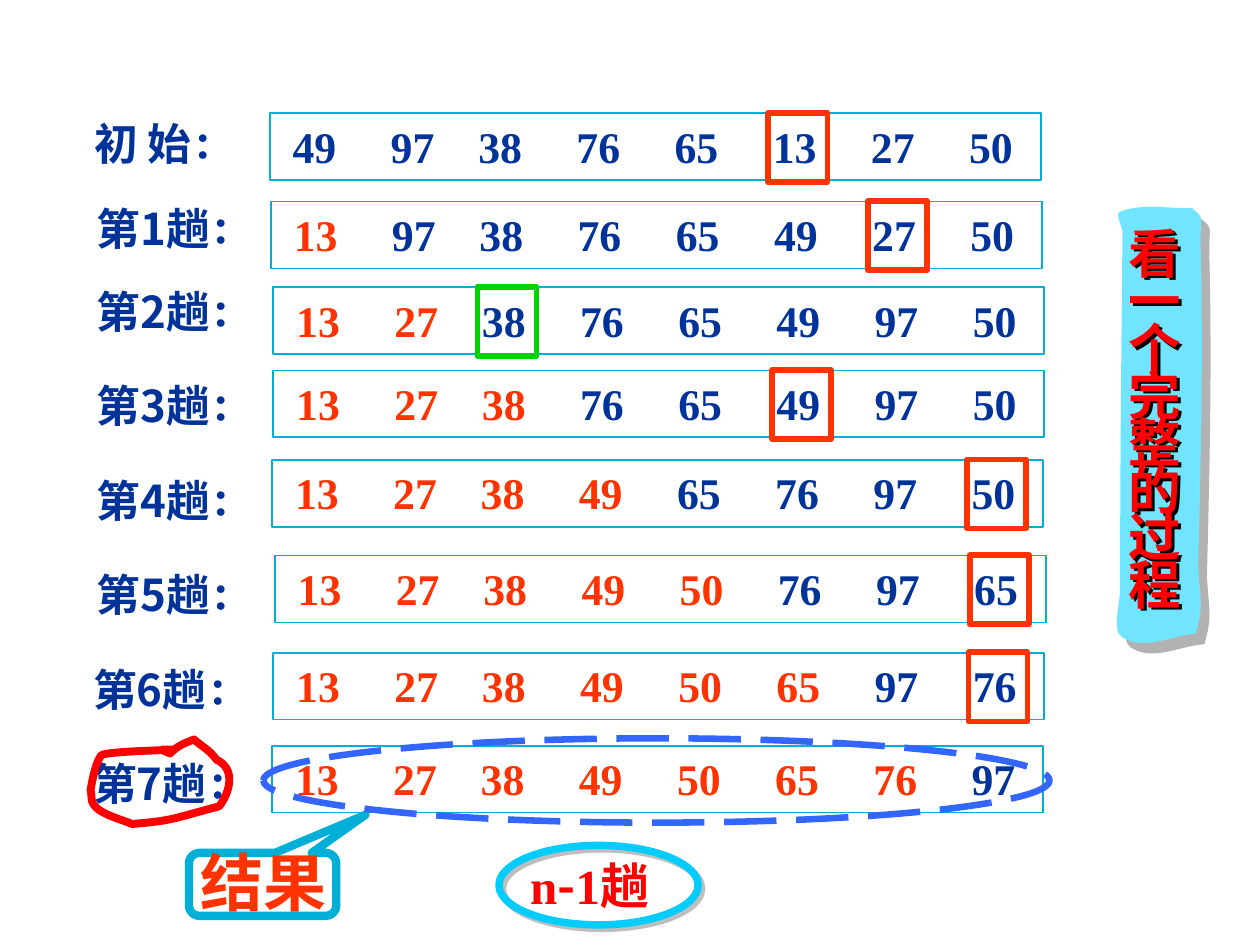
from lxml import etree
from pptx import Presentation
from pptx.dml.color import RGBColor
from pptx.enum.dml import MSO_LINE
from pptx.enum.shapes import MSO_SHAPE as SHAPE
from pptx.enum.text import MSO_ANCHOR as ANCHOR, MSO_AUTO_SIZE as AUTO, PP_ALIGN as ALIGN
from pptx.oxml import parse_xml
from pptx.oxml.ns import nsdecls, qn
from pptx.util import Pt

NAVY, ORANGE, RED, TEAL, GREEN = "003399", "FF3300", "FF0000", "00AFD8", "00D400"
SERIF, SANS, SANS_JP = "Times New Roman", "Noto Sans CJK SC", "Noto Sans CJK JP"


def style(sp, fill=None, line=None, width=1, shadow=None):
    """Set fill, outline and shadow; shadow is (colour, distance, degrees)."""
    sp.shadow.inherit = False
    if fill:
        sp.fill.solid()
        sp.fill.fore_color.rgb = RGBColor.from_string(fill)
    else:
        sp.fill.background()
    if line:
        sp.line.color.rgb = RGBColor.from_string(line)
        sp.line.width = Pt(width)
    else:
        sp.line.fill.background()
    if shadow:
        color, dist, angle = shadow
        sp.element.spPr.find(qn("a:effectLst")).append(parse_xml(
            f'<a:outerShdw {nsdecls("a")} dist="{Pt(dist)}" dir="{angle * 60000}" '
            f'algn="ctr" rotWithShape="0"><a:srgbClr val="{color}"/></a:outerShdw>'))


def add_run(p, text, size, color, font):
    r = p.add_run()
    r.text = text
    r.font.size, r.font.bold, r.font.name = Pt(size), True, font
    r.font.color.rgb = RGBColor.from_string(color)
    etree.SubElement(r.font._element, qn("a:ea"), typeface=font)


prs = Presentation()
prs.slide_width, prs.slide_height = Pt(720), Pt(540)
s = prs.slides.add_slide(prs.slide_layouts[5])

# Selection sort, one row per pass
row_places = [(154.1, 64.8), (154.8, 115.2), (156.2, 164.2), (156.2, 211.7),
              (155.5, 262.8), (157, 317.5), (156.2, 373), (155.5, 426.2)]
columns = [0, 56.1, 106.1, 162.2, 218.3, 274.4, 330.5, 386.6]
inset = 13.1
values = [49, 97, 38, 76, 65, 13, 27, 50]

for done, (left, top) in enumerate(row_places):
    sp = s.shapes.add_shape(SHAPE.RECTANGLE, Pt(left), Pt(top), Pt(440.6), Pt(38.2))
    style(sp, line=TEAL)
    tf = sp.text_frame
    tf.word_wrap = False
    tf.vertical_anchor = ANCHOR.MIDDLE
    tf.margin_left, tf.margin_bottom = Pt(inset), Pt(4.8)
    p = tf.paragraphs[0]
    p.alignment = ALIGN.LEFT
    tabs = etree.SubElement(p._p.get_or_add_pPr(), qn("a:tabLst"))
    for x in columns[1:]:
        etree.SubElement(tabs, qn("a:tab"), pos=str(Pt(x)), algn="l")
    cells = [f"\t{value}" if i else str(value) for i, value in enumerate(values)]
    if done:
        add_run(p, "".join(cells[:done]), 25, ORANGE, SERIF)
    add_run(p, "".join(cells[done:]), 25, NAVY, SERIF)

    if done < len(values) - 1:
        smallest = values.index(min(values[done:]))
        sp = s.shapes.add_shape(SHAPE.RECTANGLE, Pt(left + inset + columns[smallest] - 2.5),
                                Pt(top - 0.3), Pt(33.8), Pt(39.6))
        style(sp, line=GREEN if smallest == done else ORANGE, width=3.25)
        values[done], values[smallest] = values[smallest], values[done]

# Callout and ellipses
callout = s.shapes.add_shape(SHAPE.ROUNDED_RECTANGULAR_CALLOUT,
                             Pt(108), Pt(487.4), Pt(84.2), Pt(36))
for i, value in enumerate((0.698, -1.104, 0.167)):
    callout.adjustments[i] = value
style(callout, line=TEAL, width=4.75)

result_ring = s.shapes.add_shape(SHAPE.OVAL, Pt(150.5), Pt(421.9), Pt(449.3), Pt(48.2))
style(result_ring, line="3366FF", width=3.75)
result_ring.line.dash_style = MSO_LINE.LONG_DASH

count_ring = s.shapes.add_shape(SHAPE.OVAL, Pt(285.1), Pt(483.1), Pt(113.8), Pt(45.4))
style(count_ring, line="00CCFF", width=4.25, shadow=("BEBEBE", 2.8, 45))

# Row labels and captions: left, top, width, height, size, colour, runs
texts = [
    (107.5, 478.2, 97.9, 50.4, 36, ORANGE, [("结果", SANS_JP)]),
    (295.9, 485.3, 143.3, 41, 28, RED,
     [("n", SERIF), ("-", SANS), ("1", SERIF), ("趟", SANS)]),
]
label_lefts = [46.8] + [48.2] * 5 + [46.1] * 2
label_tops = [63.4, 111.6, 159.1, 213.1, 267.1, 321.1, 375.1, 429.1]
for i, (left, top) in enumerate(zip(label_lefts, label_tops)):
    label = f"第{i}趟" if i else "初 始"
    texts.append((left, top, 102.2, 37.4, 25, NAVY, [(label, SANS), ("：", SERIF)]))

for left, top, width, height, size, color, runs in texts:
    tf = s.shapes.add_textbox(Pt(left), Pt(top), Pt(width), Pt(height)).text_frame
    tf.word_wrap = True
    for text, font in runs:
        add_run(tf.paragraphs[0], text, size, color, font)

# Hand-drawn outlines: a start point, then Bezier segments of three points
scroll = [(641.5, 128.9),
          (640.8, 198), (640.1, 267.1), (640.1, 336.2),
          (640.1, 345.6), (635, 360.7), (641.5, 364.3),
          (654.5, 372.2), (669.6, 362.9), (683.3, 362.2),
          (687.6, 346.3), (686.2, 345.6), (684.7, 324),
          (686.2, 262.1), (687.6, 207.4), (686.2, 144.7),
          (685.4, 121), (689, 126), (681.1, 118.8),
          (667.4, 119.5), (653, 115.9), (640.1, 121),
          (637.2, 121.7), (640.8, 128.9), (641.5, 132.5),
          (641.5, 133.9), (641.5, 130.3), (641.5, 128.9)]
scribble = [(98.6, 428.4),
            (86.4, 429.1), (74.2, 429.1), (61.9, 430.6),
            (60.5, 430.6), (58.3, 431.3), (57.6, 432),
            (54, 437), (51.8, 451.4), (51.8, 451.4),
            (52.6, 454.3), (51.8, 457.2), (53.3, 459.4),
            (56.2, 465.1), (70.6, 468.7), (75.6, 470.9),
            (92.9, 469.4), (96.5, 468.7), (109.4, 465.1),
            (114.5, 463.7), (125.3, 460.8), (125.3, 460.8),
            (131.8, 452.2), (134.6, 439.2), (123.8, 434.2),
            (119.5, 428.4), (115.9, 427), (110.9, 422.6),
            (105.1, 424.8), (101.5, 426.2), (97.2, 430.6),
            (90.7, 427.7), (91.4, 428.4), (98.6, 428.4)]
looks = [dict(fill="71E4FF", shadow=("B2B2B2", 7.8, 50)), dict(line=RED, width=4.5)]
for outline, look in zip((scroll, scribble), looks):
    points = [(Pt(x), Pt(y)) for x, y in outline]
    fb = s.shapes.build_freeform(*points[0], scale=1.0)
    fb.add_line_segments(points[1:], close=True)
    sp = fb.convert_to_shape()
    lines = list(sp.element.iter(qn("a:lnTo")))
    for i in range(0, len(lines), 3):
        curve = etree.Element(qn("a:cubicBezTo"))
        lines[i].addprevious(curve)
        for line in lines[i:i + 3]:
            curve.append(line[0])
            line.getparent().remove(line)
    style(sp, **look)

# Vertical title, in front of the scroll
title = s.shapes.title
title.left, title.top, title.width, title.height = Pt(637.9), Pt(131), Pt(44.6), Pt(223.2)
s.shapes.element.append(title.element)
style(title, shadow=("000000", 2, 45))
tf = title.text_frame
tf.auto_size = AUTO.NONE
tf.word_wrap = False
tf.vertical_anchor = ANCHOR.TOP
for i, char in enumerate("看一个完整的过程"):
    p = tf.add_paragraph() if i else tf.paragraphs[0]
    p.alignment = ALIGN.LEFT
    p.line_spacing = 0.75
    add_run(p, char, 30, RED, SANS_JP)

prs.save("out.pptx")
